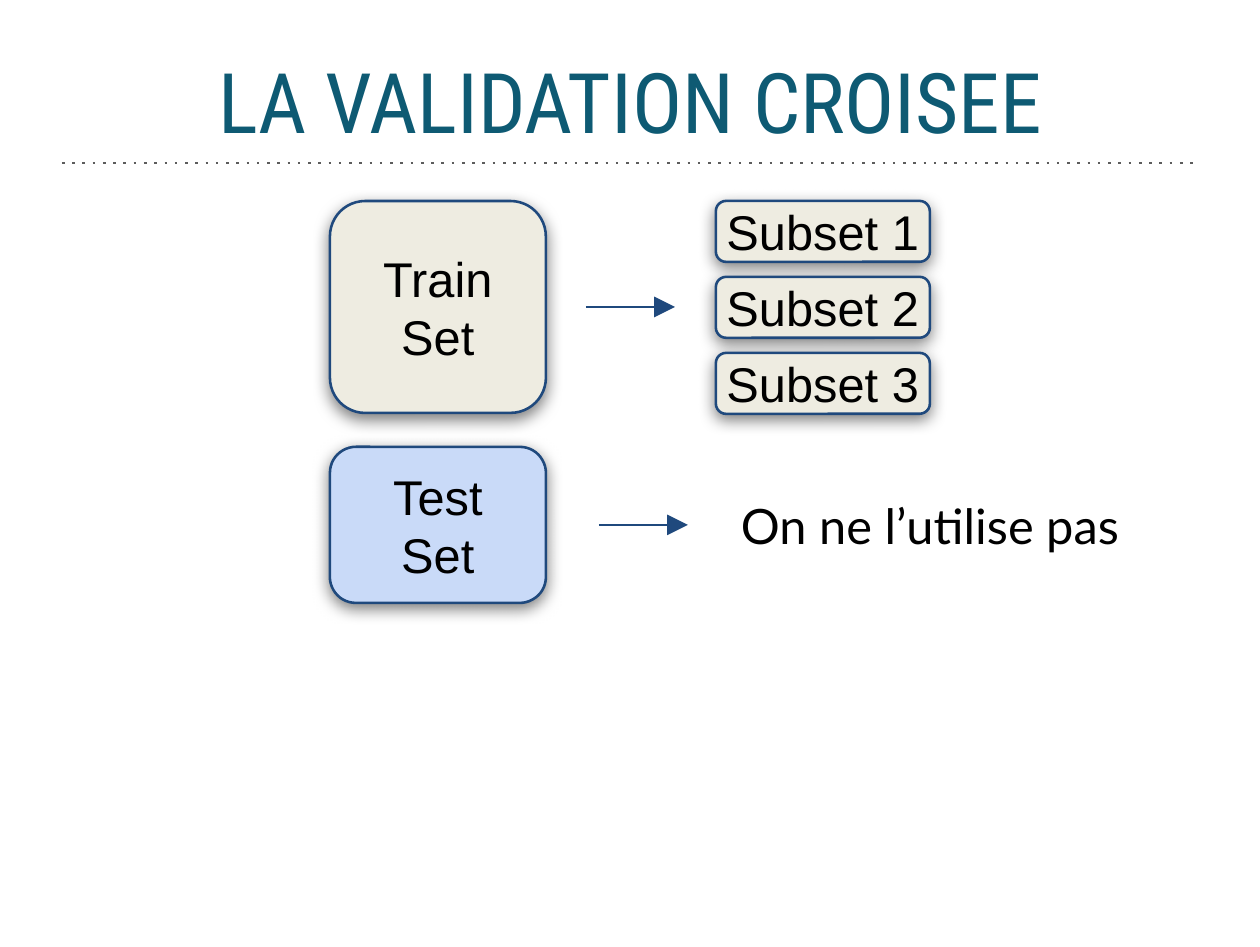
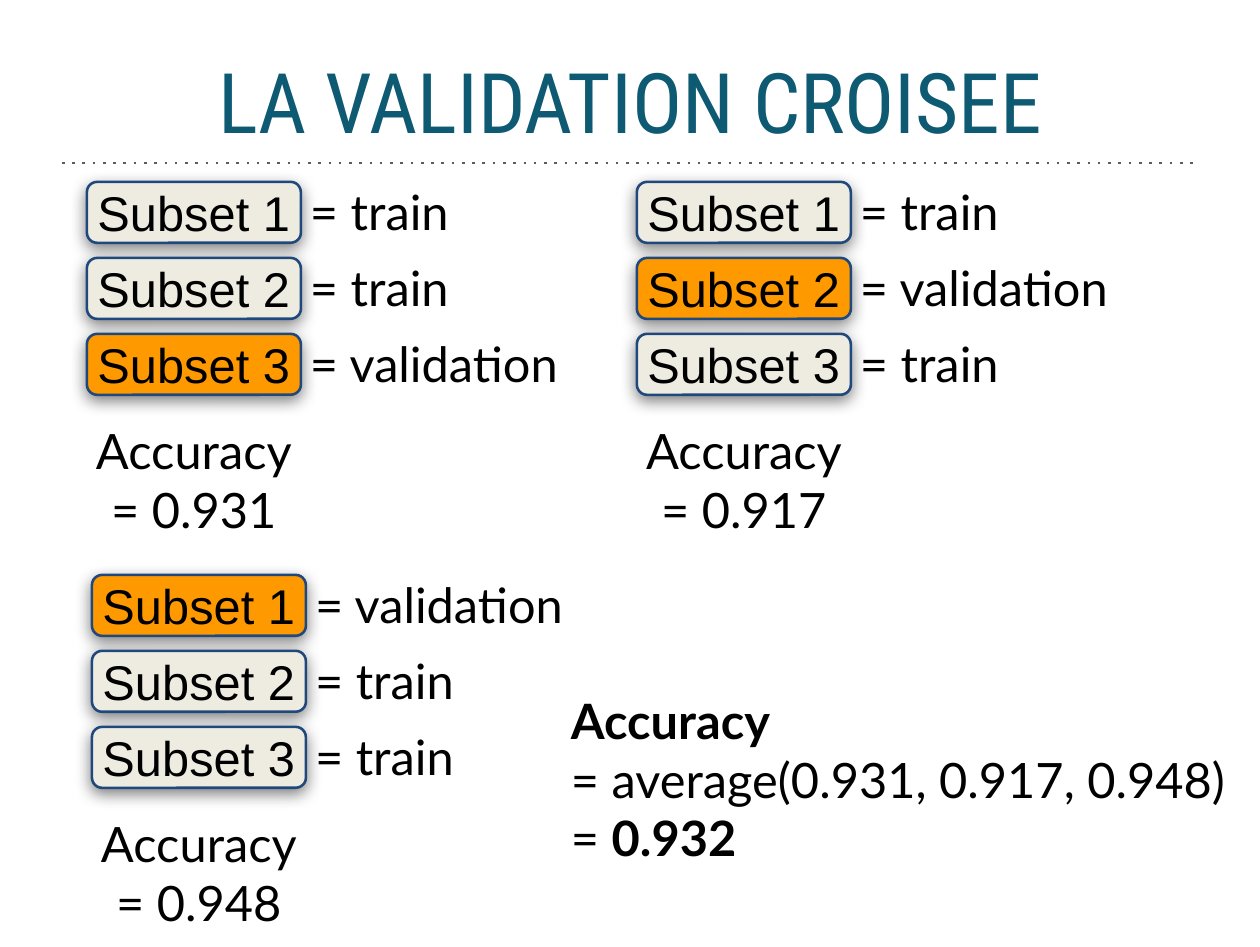
from dataclasses import dataclass

from lxml import etree
from pptx import Presentation
from pptx import util as u
from pptx.dml.color import RGBColor
from pptx.enum import shapes, text
from pptx.oxml import ns


@dataclass(frozen=True)
class Theme:
    """Colours, fonts and type sizes of the slides."""
    title: str = "0E5A73"
    rule: str = "5C5C5C"
    outline: str = "1F497D"
    train: str = "EEECE1"
    test: str = "C9DAF8"
    validation: str = "FF9900"
    ink: str = "000000"
    title_font: str = "Roboto Condensed"
    box_font: str = "Arial"
    note_font: str = "Lato"
    title_size: int = 24
    body_size: int = 14
    line_width: float = 0.75


THEME = Theme()
PX = 3650
SLIDE_WIDTH, SLIDE_HEIGHT = 1260, 947
SUBSET_WIDTH, SUBSET_HEIGHT, SUBSET_PITCH = 214, 61, 76
SUBSETS = ("Subset 1", "Subset 2", "Subset 3")
TITLE = "LA VALIDATION CROISEE"
FOLDS = (
    ((87, 182), 2, "0.931"),
    ((637, 182), 1, "0.917"),
    ((92, 575), 0, "0.948"),
)


def px(*lengths):
    """Turn pixel lengths into EMU."""
    return [u.Emu(length * PX) for length in lengths]


def add_xml(parent, tag, **attributes):
    """Append a drawing element to its parent."""
    return etree.SubElement(parent, ns.qn(tag), attributes)


def style_text(shape, font, size=THEME.body_size, color=THEME.ink,
               align=text.PP_ALIGN.LEFT, anchor=text.MSO_ANCHOR.TOP,
               insets=(0, 0, 0, 0)):
    """Format all the text of a shape."""
    frame = shape.text_frame
    frame.word_wrap = True
    frame.vertical_anchor = anchor
    (frame.margin_left, frame.margin_top,
     frame.margin_right, frame.margin_bottom) = px(*insets)
    for paragraph in frame.paragraphs:
        paragraph.alignment = align
        for run in paragraph.runs:
            run.font.name = font
            run.font.size = u.Pt(size)
            run.font.color.rgb = RGBColor.from_string(color)


def add_note(slide, box, words, font=THEME.note_font, **style):
    """Add a text box."""
    shape = slide.shapes.add_textbox(*px(*box))
    shape.text_frame.text = words
    style_text(shape, font, **style)
    return shape


def add_card(slide, box, label, fill, inset=0):
    """Add a rounded, shadowed box with a centred label."""
    shape = slide.shapes.add_shape(shapes.MSO_SHAPE.ROUNDED_RECTANGLE, *px(*box))
    shape.fill.solid()
    shape.fill.fore_color.rgb = RGBColor.from_string(fill)
    shape.line.color.rgb = RGBColor.from_string(THEME.outline)
    shape.line.width = u.Pt(THEME.line_width)
    shape.shadow.inherit = False
    effects = shape._element.spPr.find(ns.qn("a:effectLst"))
    shadow = add_xml(effects, "a:outerShdw", blurRad="57150", dist="19050",
                     dir="5400000", algn="bl", rotWithShape="0")
    shade = add_xml(shadow, "a:srgbClr", val="000000")
    add_xml(shade, "a:alpha", val="50000")
    shape.text_frame.text = label
    style_text(shape, THEME.box_font, align=text.PP_ALIGN.CENTER,
               anchor=text.MSO_ANCHOR.MIDDLE, insets=(inset,) * 4)


def add_line(slide, left, right, y, color, ending, **attributes):
    """Add a horizontal line with a dash or an arrowhead."""
    line = slide.shapes.add_connector(shapes.MSO_CONNECTOR.STRAIGHT,
                                      *px(left, y, right, y))
    line.line.color.rgb = RGBColor.from_string(color)
    line.line.width = u.Pt(THEME.line_width)
    add_xml(line.line._get_or_add_ln(), ending, **attributes)
    add_xml(line._element.spPr, "a:effectLst")


def add_arrow(slide, left, y, length=89):
    """Add an arrow pointing right."""
    add_line(slide, left, left + length, y, THEME.outline,
             "a:tailEnd", type="triangle")


def add_titled_slide(presentation):
    """Add a slide with the shared title and dotted rule."""
    slide = presentation.slides.add_slide(presentation.slide_layouts[6])
    add_line(slide, 62, 1197, 163, THEME.rule, "a:prstDash", val="dot")
    add_note(slide, (68, 0, 1125, 200), TITLE, THEME.title_font,
             size=THEME.title_size, color=THEME.title,
             align=text.PP_ALIGN.CENTER, anchor=text.MSO_ANCHOR.MIDDLE,
             insets=(25, 25, 25, 25))
    return slide


def add_subsets(slide, left, top, held_out=None):
    """Stack the subset cards, with the held-out one highlighted."""
    for index, label in enumerate(SUBSETS):
        fill = THEME.validation if index == held_out else THEME.train
        add_card(slide, (left, top + index * SUBSET_PITCH,
                         SUBSET_WIDTH, SUBSET_HEIGHT), label, fill)


def add_fold(slide, left, top, held_out, accuracy):
    """Add one fold: its subsets, their roles and its accuracy."""
    add_subsets(slide, left, top, held_out)
    for index in range(len(SUBSETS)):
        role = "= validation" if index == held_out else "= train"
        add_note(slide, (left + SUBSET_WIDTH, top + index * SUBSET_PITCH,
                         325, SUBSET_HEIGHT), role, insets=(9, 0, 0, 0))
    add_note(slide, (left - 5, top + 239, SUBSET_WIDTH + 10, 118),
             f"Accuracy\v= {accuracy}", align=text.PP_ALIGN.CENTER)


def add_average(slide, box):
    """Add the average accuracy over the folds."""
    values = ", ".join(accuracy for _, _, accuracy in FOLDS)
    shape = add_note(slide, box, f"Accuracy\n= average({values})\n= ")
    heading, _, result = shape.text_frame.paragraphs
    result.add_run().text = "0.932"
    style_text(shape, THEME.note_font)
    for run in (heading.runs[0], result.runs[-1]):
        run.font.bold = True


def build_split_slide(presentation):
    """Show how the data are split."""
    slide = add_titled_slide(presentation)
    add_card(slide, (330, 201, 216, 212), "Train\vSet", THEME.train, 25)
    add_card(slide, (330, 447, 216, 156), "Test\vSet", THEME.test, 25)
    add_subsets(slide, 716, 201)
    add_arrow(slide, 586, 307)
    add_arrow(slide, 599, 525)
    add_note(slide, (716, 471, 478, 110), "On ne l’utilise pas",
             insets=(25, 25, 25, 25))


def build_folds_slide(presentation):
    """Show the three folds and their average."""
    slide = add_titled_slide(presentation)
    for (left, top), held_out, accuracy in FOLDS:
        add_fold(slide, left, top, held_out, accuracy)
    add_average(slide, (571, 691, 679, 178))


def main():
    """Build and save the presentation."""
    presentation = Presentation()
    presentation.slide_width, presentation.slide_height = px(SLIDE_WIDTH, SLIDE_HEIGHT)
    build_split_slide(presentation)
    build_folds_slide(presentation)
    presentation.save("out.pptx")


if __name__ == "__main__":
    main()
